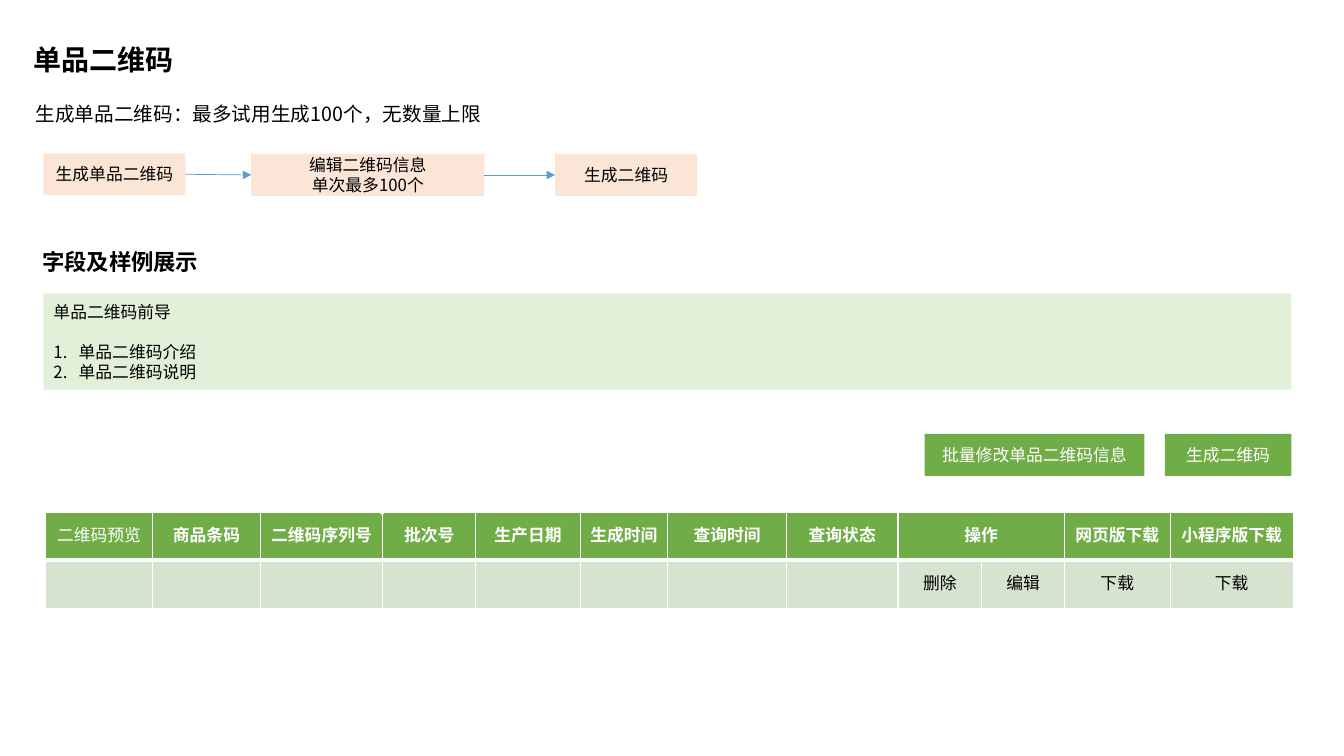
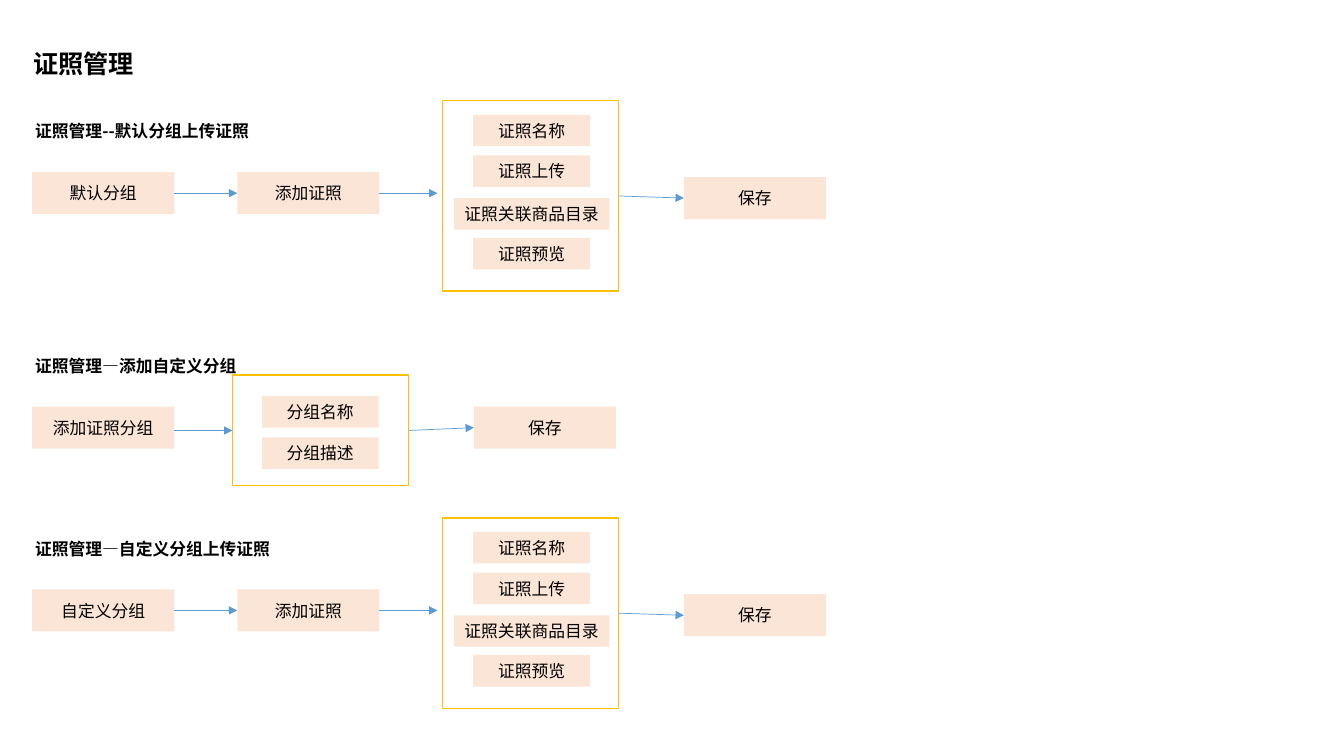
from lxml import etree
from pptx import Presentation
from pptx.dml.color import RGBColor
from pptx.enum.shapes import MSO_CONNECTOR, MSO_SHAPE
from pptx.enum.text import MSO_ANCHOR, MSO_AUTO_SIZE, PP_ALIGN
from pptx.oxml.ns import qn
from pptx.util import Pt

RECTANGLE, TRIANGLE = MSO_SHAPE.RECTANGLE, MSO_SHAPE.ISOSCELES_TRIANGLE
STRAIGHT = MSO_CONNECTOR.STRAIGHT
LEFT, CENTER = PP_ALIGN.LEFT, PP_ALIGN.CENTER
MIDDLE = MSO_ANCHOR.MIDDLE
LEFT_SIDE, RIGHT_SIDE = 1, 3

FONT = "Noto Sans CJK SC"
BLACK, WHITE = "000000", "FFFFFF"
PEACH, GREEN, PALE_GREEN, GRAY_GREEN = "FBE5D6", "70AD47", "E2F0D9", "D5E3CF"
AMBER, BLUE = "FFC000", "5B9BD5"
STEP_WIDTH, STEP_HEIGHT = 101.5, 30
FIELD_WIDTH, FIELD_HEIGHT = 83.5, 22.5


def write(text_frame, lines, size=12, color=BLACK, bold=False, align=CENTER):
    """Fill a text frame with one paragraph per line."""
    text_frame.word_wrap = True
    for index, line in enumerate(lines):
        paragraph = text_frame.paragraphs[0] if index == 0 else text_frame.add_paragraph()
        paragraph.alignment = align
        paragraph.line_spacing = Pt(size * 1.2)
        paragraph.space_before = Pt(0)
        run = paragraph.add_run()
        run.text = line
        run.font.size = Pt(size)
        run.font.bold = bold
        run.font.name = FONT
        run.font.color.rgb = RGBColor.from_string(color)
        east_asian = etree.SubElement(run.font._element, qn("a:ea"))
        east_asian.set("typeface", FONT)


def add_box(slide, left, top, width, height, lines=(), fill=PEACH, color=BLACK):
    """Add a filled rectangle with text, or an amber frame if fill is None."""
    shape = slide.shapes.add_shape(RECTANGLE, Pt(left), Pt(top), Pt(width), Pt(height))
    shape.shadow.inherit = False
    if fill:
        shape.fill.solid()
        shape.fill.fore_color.rgb = RGBColor.from_string(fill)
        shape.line.fill.background()
    else:
        shape.fill.background()
        shape.line.color.rgb = RGBColor.from_string(AMBER)
        shape.line.width = Pt(1)
    shape.text_frame.vertical_anchor = MIDDLE
    write(shape.text_frame, lines, color=color)
    return shape


presentation = Presentation()
presentation.slide_width, presentation.slide_height = Pt(960), Pt(540)
code_slide = presentation.slides.add_slide(presentation.slide_layouts[1])
license_slide = presentation.slides.add_slide(presentation.slide_layouts[5])

# Titles
for slide, text, top, size in [(code_slide, "单品二维码", 26, 20),
                               (license_slide, "证照管理", 29.5, 18)]:
    title = slide.shapes.title
    title.left, title.top, title.width, title.height = Pt(16.5), Pt(top), Pt(130), Pt(32)
    title.text_frame.vertical_anchor = MIDDLE
    title.text_frame.auto_size = MSO_AUTO_SIZE.NONE
    write(title.text_frame, [text], size, bold=True, align=LEFT)

# Headings
for slide, text, left, top, width, size, bold, align in [
    (code_slide, "生成单品二维码：最多试用生成100个，无数量上限", 16.5, 69, 336, 14, False, CENTER),
    (code_slide, "字段及样例展示", 23, 173.5, 130, 16, True, LEFT),
    (license_slide, "证照管理--默认分组上传证照", 18, 83, 170.5, 12, True, LEFT),
    (license_slide, "证照管理—添加自定义分组", 18, 250.5, 161.5, 12, True, LEFT),
    (license_slide, "证照管理—自定义分组上传证照", 18, 381, 185, 12, True, LEFT),
]:
    heading = slide.shapes.add_textbox(Pt(left), Pt(top), Pt(width), Pt(size * 1.2 + 7.2))
    write(heading.text_frame, [text], size, bold=bold, align=align)

# Item codes: flow, introduction and buttons
start = add_box(code_slide, 31, 109.5, STEP_WIDTH, STEP_HEIGHT, ["生成单品二维码"])
edit = add_box(code_slide, 179.5, 110, 166.5, STEP_HEIGHT, ["编辑二维码信息", "单次最多100个"])
generate = add_box(code_slide, 396.5, 110, STEP_WIDTH, STEP_HEIGHT, ["生成二维码"])
arrows = [(code_slide, start, edit), (code_slide, edit, generate)]

body = code_slide.placeholders[1]
body.left, body.top, body.width, body.height = Pt(31), Pt(209.5), Pt(891.5), Pt(69)
body.fill.solid()
body.fill.fore_color.rgb = RGBColor.from_string(PALE_GREEN)
body.text_frame.vertical_anchor = MIDDLE
body.text_frame.auto_size = MSO_AUTO_SIZE.NONE
write(body.text_frame, ["单品二维码前导", "单品二维码介绍", "单品二维码说明"], align=LEFT)
for index, paragraph in enumerate(body.text_frame.paragraphs):
    properties = paragraph._p.get_or_add_pPr()
    indent = Pt(18) if index else 0
    properties.set("marL", str(indent))
    properties.set("indent", str(-indent))
    if index:
        etree.SubElement(properties, qn("a:buFont")).set("typeface", "+mj-lt")
        etree.SubElement(properties, qn("a:buAutoNum")).set("type", "arabicPeriod")
    else:
        etree.SubElement(properties, qn("a:buNone"))
body.text_frame.paragraphs[1].space_before = Pt(14)

add_box(code_slide, 660.5, 310, 157, STEP_HEIGHT, ["批量修改单品二维码信息"], GREEN, WHITE)
add_box(code_slide, 832, 310, 90.5, STEP_HEIGHT, ["生成二维码"], GREEN, WHITE)

# Item codes: table
headers = ["二维码预览", "商品条码", "二维码序列号", "批次号", "生产日期", "生成时间",
           "查询时间", "查询状态", "操作", "", "网页版下载", "小程序版下载"]
actions = [""] * 8 + ["删除", "编辑", "下载", "下载"]
column_widths = [76.5, 77, 87.5, 66.5, 74.5, 62.5, 85, 79.5, 60, 59, 75.5, 88]
table = code_slide.shapes.add_table(2, len(headers), Pt(32.5), Pt(366),
                                    Pt(sum(column_widths)), Pt(68.5)).table
for column, width in zip(table.columns, column_widths):
    column.width = Pt(width)
for row_index, labels in enumerate([headers, actions]):
    is_header = row_index == 0
    for column_index, label in enumerate(labels):
        cell = table.cell(row_index, column_index)
        cell.vertical_anchor = MIDDLE
        if label:
            write(cell.text_frame, [label], color=WHITE if is_header else BLACK,
                  bold=is_header and column_index > 0)
        properties = cell._tc.get_or_add_tcPr()
        middle_edge = "a:lnB" if is_header else "a:lnT"
        for edge in ("a:lnL", "a:lnR", "a:lnT", "a:lnB"):
            border = etree.SubElement(properties, qn(edge))
            border.set("w", str(Pt(3 if edge == middle_edge else 1)))
            border_fill = etree.SubElement(border, qn("a:solidFill"))
            etree.SubElement(border_fill, qn("a:srgbClr")).set("val", WHITE)
        cell.fill.solid()
        cell.fill.fore_color.rgb = RGBColor.from_string(GREEN if is_header else GRAY_GREEN)
table.cell(0, 8).merge(table.cell(0, 9))

sort_mark = code_slide.shapes.add_shape(TRIANGLE, Pt(270), Pt(365), Pt(6), Pt(3))
sort_mark.rotation = 180
sort_mark.shadow.inherit = False
sort_mark.fill.solid()
sort_mark.fill.fore_color.rgb = RGBColor.from_string(WHITE)
sort_mark.line.fill.background()

# Licenses: the two upload flows
for offset, group_name in [(0, "默认分组"), (298, "自定义分组")]:
    frame = add_box(license_slide, 316, 72 + offset, 126, 136, fill=None)
    for label, top, width in [("证照名称", 82, FIELD_WIDTH), ("证照上传", 111, FIELD_WIDTH),
                              ("证照关联商品目录", 141.5, 111), ("证照预览", 170, FIELD_WIDTH)]:
        add_box(license_slide, 379.75 - width / 2, top + offset, width, FIELD_HEIGHT, [label])
    group = add_box(license_slide, 23, 123 + offset, STEP_WIDTH, STEP_HEIGHT, [group_name])
    upload = add_box(license_slide, 169.5, 123 + offset, STEP_WIDTH, STEP_HEIGHT, ["添加证照"])
    save = add_box(license_slide, 488.5, 126.5 + offset, STEP_WIDTH, STEP_HEIGHT, ["保存"])
    arrows += [(license_slide, group, upload),
               (license_slide, upload, (312.5, 138 + offset)),
               (license_slide, frame, save)]

# Licenses: adding a custom group
add_group = add_box(license_slide, 23, 290.5, STEP_WIDTH, STEP_HEIGHT, ["添加证照分组"])
frame = add_box(license_slide, 166, 268, 126, 79, fill=None)
for label, top in [("分组名称", 283), ("分组描述", 312.5)]:
    add_box(license_slide, 187, top, FIELD_WIDTH, FIELD_HEIGHT, [label])
save = add_box(license_slide, 338.5, 290.5, STEP_WIDTH, STEP_HEIGHT, ["保存"])
arrows += [(license_slide, (124.5, 307.5), frame), (license_slide, frame, save)]

# Arrows: each end is a box to join or a free point
for slide, origin, target in arrows:
    points = [Pt(value) for end in (origin, target)
              for value in (end if isinstance(end, tuple) else (0, 0))]
    connector = slide.shapes.add_connector(STRAIGHT, *points)
    if not isinstance(origin, tuple):
        connector.begin_connect(origin, RIGHT_SIDE)
    if not isinstance(target, tuple):
        connector.end_connect(target, LEFT_SIDE)
    connector.line.width = Pt(0.5)
    connector.line.color.rgb = RGBColor.from_string(BLUE)
    etree.SubElement(connector.line._get_or_add_ln(), qn("a:tailEnd")).set("type", "triangle")
    etree.SubElement(connector._element.spPr, qn("a:effectLst"))

presentation.save("out.pptx")
